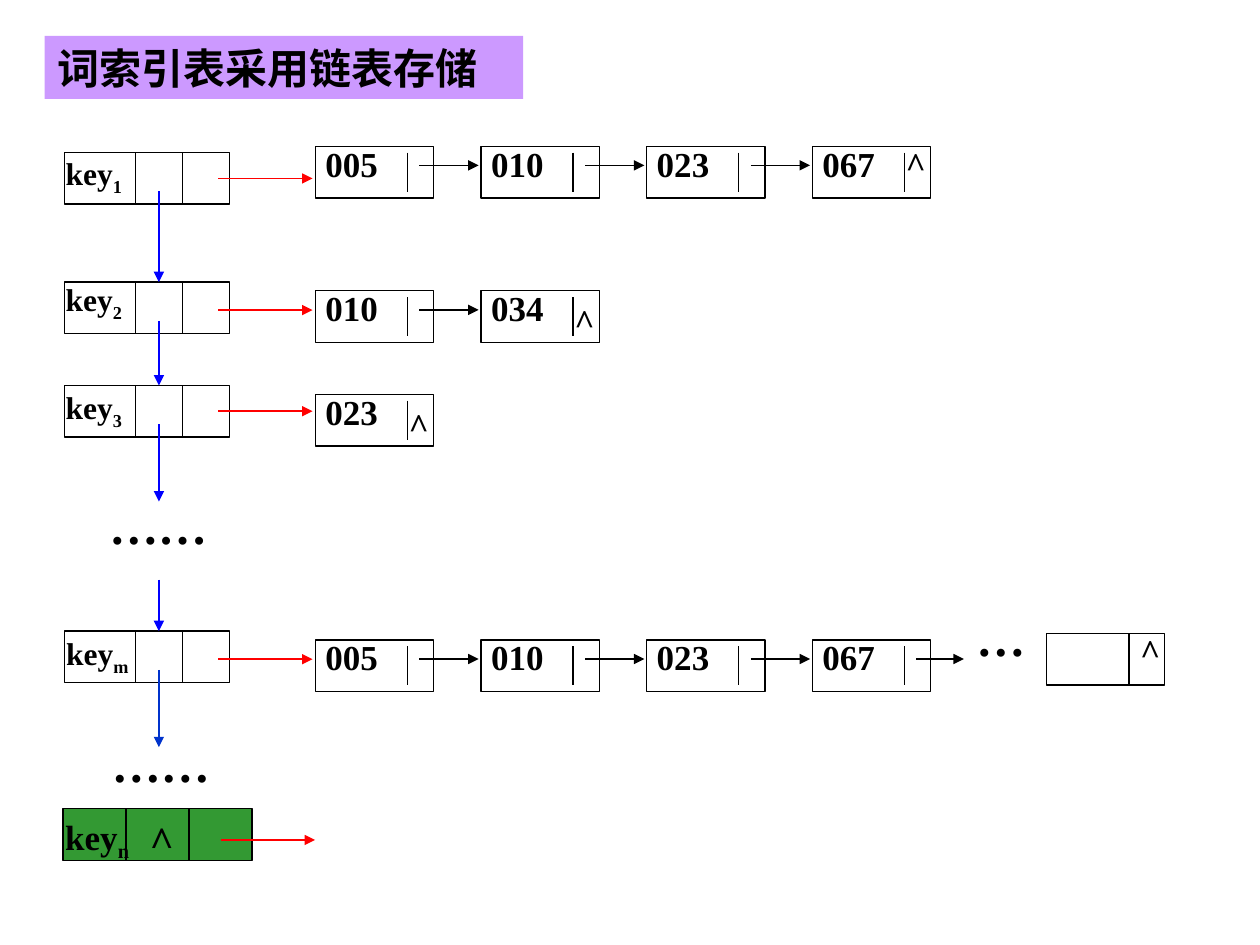
from itertools import pairwise

from lxml.etree import SubElement
from pptx import Presentation
from pptx.dml.color import RGBColor
from pptx.enum.shapes import MSO_CONNECTOR, MSO_SHAPE
from pptx.enum.text import MSO_ANCHOR, MSO_AUTO_SIZE, PP_ALIGN
from pptx.oxml.ns import qn
from pptx.util import Pt

BLACK = RGBColor(0x00, 0x00, 0x00)
RED = RGBColor(0xFF, 0x00, 0x00)
BLUE = RGBColor(0x00, 0x00, 0xFF)
DARK_BLUE = RGBColor(0x00, 0x33, 0xCC)
LILAC = RGBColor(0xCC, 0x99, 0xFF)
GREEN = RGBColor(0x33, 0x99, 0x33)
FONT = "Times New Roman"

# Posting nodes
NODE_LEFT, NODE_STEP = 180.2, 94.7
NODE_W, CELL_H = 67.6, 29.5
LINK_START, LINK_GAP, LINK_DROP = 59.5, 1.4, 10.9

# Keyword cells
KEY_LEFT, KEY_W = 36.8, 94.4
KEY_DIVIDERS = (40.5, 67.6)
NEXT_X, NEXT_DROP = 90.8, 22.2
POINTER_FROM, POINTER_TO = 124.6, 178.6

# subscript, cell top, label left, label top, label width, pointer y
KEYS = [
    ("1", 87.1, 30.4, 84.4, 46.8, 102),
    ("2", 161.2, 30.4, 156.5, 46.8, 177.2),
    ("3", 220.3, 30.4, 218.2, 46.8, 235),
    ("m", 360.6, 30.7, 358.6, 49.7, 376.7),
]

# node top, document numbers, offset of the end mark (None: list goes on)
POSTINGS = [
    (83.6, ["005", "010", "023", "067"], -5.8),
    (166.2, ["010", "034"], 1.6),
    (225.4, ["023"], 1.6),
    (365.7, ["005", "010", "023", "067"], None),
]


def add_run(paragraph, text, size, subscript=False):
    run = paragraph.add_run()
    run.text = text
    run.font.name = FONT
    run.font.size = Pt(size)
    run.font.bold = True
    run.font.color.rgb = BLACK
    if subscript:
        run._r.get_or_add_rPr().set("baseline", "-25000")


def add_label(slide, left, top, width, height, text, size, subscript=""):
    label = slide.shapes.add_textbox(Pt(left), Pt(top), Pt(width), Pt(height))
    frame = label.text_frame
    frame.word_wrap = False
    frame.auto_size = MSO_AUTO_SIZE.NONE
    frame.margin_right = 0  # keeps each label on one line
    add_run(frame.paragraphs[0], text, size)
    if subscript:
        add_run(frame.paragraphs[0], subscript, size, subscript=True)


def add_line(slide, x1, y1, x2, y2, color=BLACK, weight=0.75, arrow=False):
    line = slide.shapes.add_connector(
        MSO_CONNECTOR.STRAIGHT, Pt(x1), Pt(y1), Pt(x2), Pt(y2))
    line.line.color.rgb = color
    line.line.width = Pt(weight)
    if arrow:
        SubElement(line.line._get_or_add_ln(), qn("a:tailEnd"), type="triangle")
    SubElement(line._element.spPr, qn("a:effectLst"))


def add_cell(slide, left, top, width, dividers, inset=0, fill=None):
    """Outlined box split by vertical dividers."""
    cell = slide.shapes.add_shape(
        MSO_SHAPE.RECTANGLE, Pt(left), Pt(top), Pt(width), Pt(CELL_H))
    cell.shadow.inherit = False
    if fill is None:
        cell.fill.background()
    else:
        cell.fill.solid()
        cell.fill.fore_color.rgb = fill
    cell.line.color.rgb = BLACK
    cell.line.width = Pt(0.75)
    for offset in dividers:
        add_line(slide, left + offset, top + inset,
                 left + offset, top + CELL_H - inset)


def add_end_mark(slide, left, top):
    add_label(slide, left, top, 25.9, 31.7, "^", 20)


def add_posting_list(slide, top, documents, end_offset):
    link_y = top + LINK_DROP
    lefts = [NODE_LEFT + i * NODE_STEP for i in range(len(documents))]
    for left, document in zip(lefts, documents):
        add_cell(slide, left, top, NODE_W, [52.6], inset=3.6)
        add_label(slide, left - 1.4, top - 5.8, 43.9, 31.7, document, 20)
    for left, following in pairwise(lefts):
        add_line(slide, left + LINK_START, link_y,
                 following - LINK_GAP, link_y, arrow=True)
    if end_offset is not None:
        add_end_mark(slide, lefts[-1] + 46.2, top + end_offset)


def add_title(slide):
    title = slide.shapes.title
    title.left, title.top, title.width, title.height = (
        Pt(25.5), Pt(20.5), Pt(273.5), Pt(36))
    title.fill.solid()
    title.fill.fore_color.rgb = LILAC
    frame = title.text_frame
    frame.word_wrap = True
    frame.auto_size = MSO_AUTO_SIZE.NONE
    frame.vertical_anchor = MSO_ANCHOR.MIDDLE
    frame.paragraphs[0].alignment = PP_ALIGN.LEFT
    add_run(frame.paragraphs[0], "词索引表采用链表存储", 24)


def main():
    prs = Presentation()
    prs.slide_width, prs.slide_height = Pt(720), Pt(540)
    slide = prs.slides.add_slide(prs.slide_layouts[5])
    add_title(slide)

    # Posting lists, with the last one running on to a final node
    for posting in POSTINGS:
        add_posting_list(slide, *posting)
    add_line(slide, 523.7, 376.6, 550.8, 376.6, arrow=True)
    add_label(slide, 550.8, 343.4, 42.5, 41, "…", 28)
    add_cell(slide, 598, 362, NODE_W, [47.2])
    add_end_mark(slide, 644.4, 356.4)

    # Keyword cells and their pointers to the posting lists
    for subscript, top, label_left, label_top, label_width, pointer_y in KEYS:
        add_cell(slide, KEY_LEFT, top, KEY_W, KEY_DIVIDERS)
        add_label(slide, label_left, label_top, label_width, 31.7,
                  "key", 18, subscript)
        add_line(slide, POINTER_FROM, pointer_y, POINTER_TO, pointer_y,
                 RED, 1, arrow=True)

    # Chain from keyword to keyword
    top_1, top_2, top_3, top_m = (key[1] for key in KEYS)
    for start, end in [(top_1 + NEXT_DROP, top_2), (top_2 + NEXT_DROP, top_3),
                       (top_3 + NEXT_DROP, 286.6), (331.2, top_m)]:
        add_line(slide, NEXT_X, start, NEXT_X, end, BLUE, 1, arrow=True)
    add_line(slide, NEXT_X, top_m + NEXT_DROP, NEXT_X, 427,
             DARK_BLUE, arrow=True)
    for left, top in [(55.4, 279.4), (56.9, 415.4)]:
        add_label(slide, left, top, 69.8, 41, "……", 28)

    # Newly added last keyword
    add_cell(slide, 36, 462.2, 108, [36, 72], fill=GREEN)
    add_label(slide, 78.5, 462.2, 28, 36, "^", 24)
    add_line(slide, 126, 480, 180, 480, RED, 1.25, arrow=True)
    add_label(slide, 30.2, 462.2, 50.4, 34.6, "key", 20, "n")

    prs.save("out.pptx")


if __name__ == "__main__":
    main()
